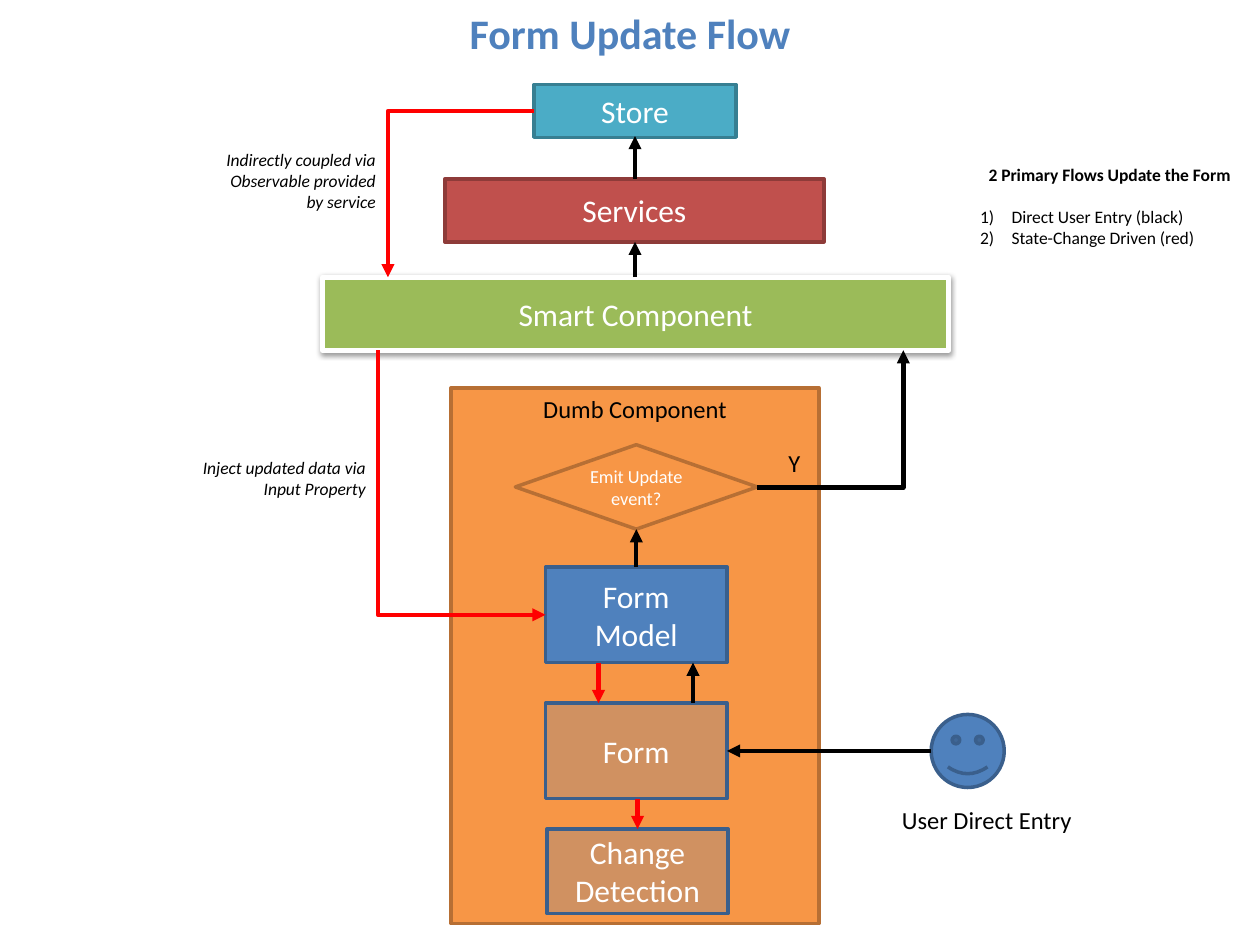
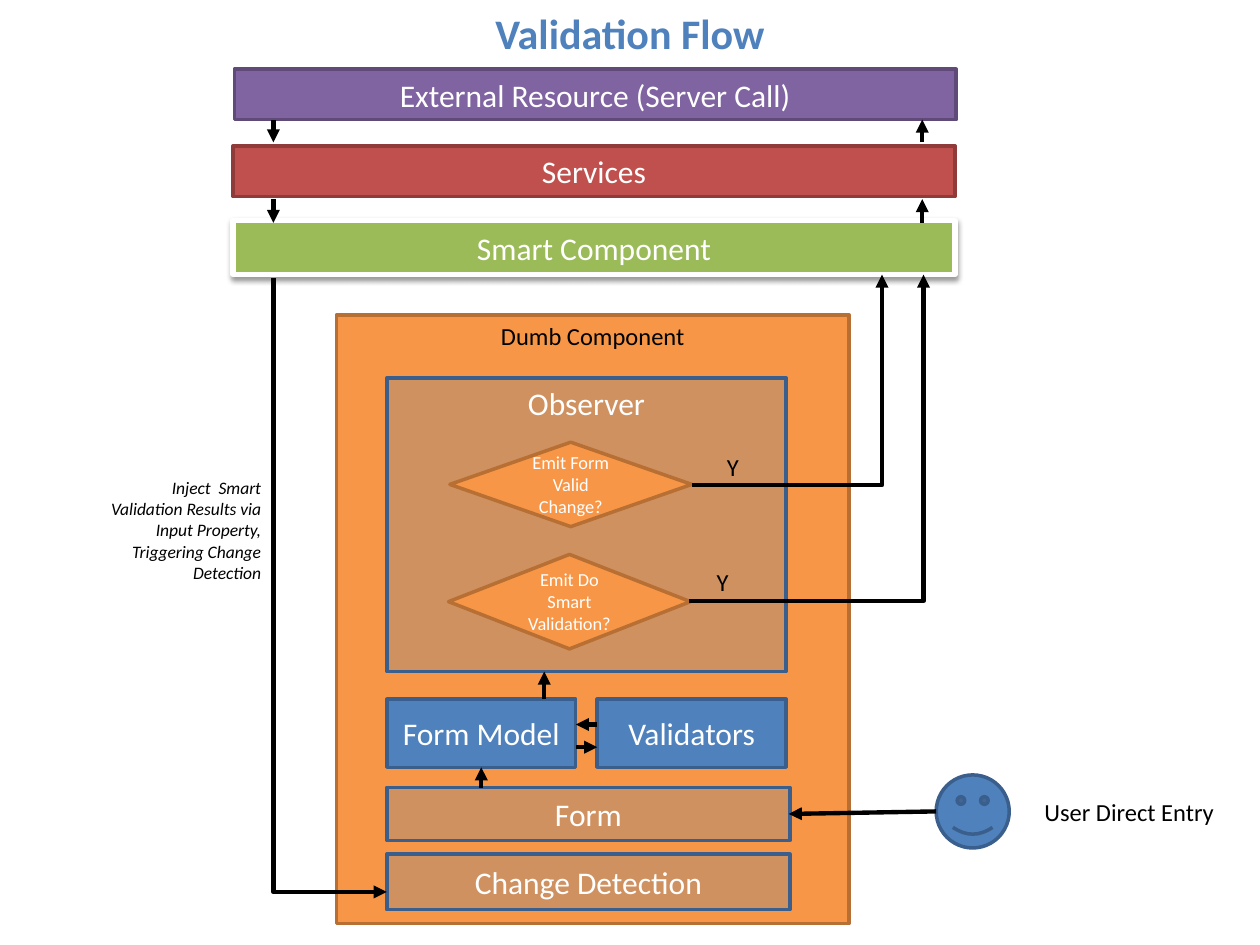
from lxml.etree import SubElement as Sub
from pptx import Presentation
from pptx.dml.color import RGBColor as RGB
from pptx.enum.shapes import MSO_CONNECTOR as Link, MSO_SHAPE as Kind
from pptx.enum.text import MSO_ANCHOR as Anchor, MSO_AUTO_SIZE as Auto, PP_ALIGN as Align
from pptx.oxml.ns import qn
from pptx.util import Cm, Pt

FONT = "Calibri"
WHITE, BLACK, RED = RGB(255, 255, 255), RGB(0, 0, 0), RGB(255, 0, 0)
BLUE, NAVY = RGB(0x4F, 0x81, 0xBD), RGB(0x3A, 0x5F, 0x8C)
ORANGE, BROWN = RGB(0xF7, 0x96, 0x46), RGB(0xB7, 0x6F, 0x34)
GREEN = RGB(0x9B, 0xBB, 0x59)
BRICK, MAROON = RGB(0xC0, 0x50, 0x4D), RGB(0x8E, 0x3B, 0x39)
AQUA, TEAL = RGB(0x4B, 0xAC, 0xC6), RGB(0x37, 0x7F, 0x92)
PURPLE, PLUM = RGB(0x80, 0x64, 0xA2), RGB(0x5F, 0x4A, 0x78)
WIDE, HIGH = 10, 7.5
UNIT = 2.54  # centimetres in one grid unit

# role: preset, fill, line, line width, text size
ROLES = {
    "panel": (Kind.RECTANGLE, ORANGE, BROWN, 2, 14),
    "model": (Kind.RECTANGLE, BLUE, NAVY, 2, 18),
    "view": (Kind.RECTANGLE, BLUE, NAVY, 2, 18),
    "smart": (Kind.RECTANGLE, GREEN, WHITE, 3, 18),
    "service": (Kind.RECTANGLE, BRICK, MAROON, 2, 18),
    "store": (Kind.RECTANGLE, AQUA, TEAL, 2, 18),
    "server": (Kind.RECTANGLE, PURPLE, PLUM, 2, 18),
    "choice": (Kind.FLOWCHART_DECISION, ORANGE, BROWN, 2, 10.5),
    "user": (Kind.SMILEY_FACE, BLUE, NAVY, 2, 18),
}
SHEER = 23  # opacity of the view boxes, percent

# boxes: role, text, (left, top, width, height)
# labels: text, left, top, width; notes: text, left, top, height
# arrows and bends: start x, start y, end x, end y, colour, arrowhead end;
# a bend runs across first, then up or down
UPDATE = {
    "title": "Form Update Flow",
    "panel": (3.58, 3.08, 2.92, 4.25),
    "boxes": [
        ("model", "Form Model", (4.33, 4.5, 1.44, 0.76)),
        ("view", "Form", (4.33, 5.58, 1.44, 0.76)),
        ("view", "Change Detection", (4.34, 6.58, 1.44, 0.67)),
        ("user", "", (7.39, 5.67, 0.58, 0.58)),
        ("choice", "Emit Update event?", (4.09, 3.53, 1.92, 0.67)),
        ("smart", "Smart Component", (2.56, 2.2, 4.97, 0.58)),
        ("service", "Services", (3.53, 1.42, 3.01, 0.5)),
        ("store", "Store", (4.24, 0.67, 1.6, 0.42)),
    ],
    "labels": [("User Direct Entry", 7.06, 6.34, 1.56), ("Y", 6.16, 3.51, 0.3)],
    "notes": [
        ("Indirectly coupled via Observable provided by service", 1.58, 1.13, 0.61),
        ("Inject updated data via Input Property", 1.5, 3.58, 0.44),
    ],
    "arrows": [
        (7.39, 5.96, 5.77, 5.96, BLACK, "tail"),
        (5.5, 5.58, 5.5, 5.26, BLACK, "tail"),
        (5.05, 4.5, 5.05, 4.2, BLACK, "tail"),
        (5.04, 2.2, 5.04, 1.92, BLACK, "tail"),
        (5.04, 1.42, 5.04, 1.08, BLACK, "tail"),
        (4.75, 5.26, 4.75, 5.58, RED, "tail"),
        (5.06, 6.34, 5.06, 6.58, RED, "tail"),
    ],
    "bends": [
        (6.01, 3.87, 7.17, 2.78, BLACK, "tail"),
        (4.24, 0.88, 3.08, 2.2, RED, "tail"),
        (4.33, 4.88, 3, 2.78, RED, "head"),
    ],
}
VALID = {
    "title": "Validation Flow",
    "panel": (2.67, 2.5, 4.07, 4.83),
    "boxes": [
        ("view", "Form", (3.07, 6.25, 3.2, 0.42)),
        ("view", "Change Detection", (3.07, 6.78, 3.2, 0.44)),
        ("user", "", (7.43, 6.15, 0.58, 0.58)),
        ("smart", "Smart Component", (1.85, 1.75, 5.73, 0.43)),
        ("service", "Services", (1.85, 1.16, 5.73, 0.4)),
        ("server", "External Resource (Server Call)", (1.86, 0.55, 5.73, 0.4)),
        ("model", "Form Model", (3.07, 5.55, 1.5, 0.54)),
        ("model", "Validators", (4.74, 5.55, 1.5, 0.54)),
        ("view", "Observer", (3.07, 3, 3.17, 2.33)),
        ("choice", "Emit Form Valid Change?", (3.57, 3.51, 1.92, 0.67)),
        ("choice", "Emit Do Smart Validation?", (3.56, 4.4, 1.92, 0.75)),
    ],
    "labels": [("User Direct Entry", 8.19, 6.28, 1.56),
               ("Y", 5.67, 3.54, 0.3), ("Y", 5.59, 4.45, 0.3)],
    "notes": [
        ("Inject  Smart Validation Results via Input Property, "
         "Triggering Change Detection", 0.67, 3.74, 0.94),
    ],
    "arrows": [
        (7.43, 6.44, 6.26, 6.46, BLACK, "tail"),
        (3.82, 6.25, 3.82, 6.09, BLACK, "tail"),
        (4.57, 5.93, 4.74, 5.93, BLACK, "tail"),
        (4.57, 5.75, 4.74, 5.75, BLACK, "head"),
        (4.32, 5.55, 4.32, 5.33, BLACK, "tail"),
        (7.32, 1.77, 7.32, 1.58, BLACK, "tail"),
        (7.32, 1.13, 7.32, 0.95, BLACK, "tail"),
        (2.17, 1.13, 2.17, 0.95, BLACK, "head"),
        (2.17, 1.77, 2.17, 1.58, BLACK, "head"),
    ],
    "bends": [
        (5.47, 4.77, 7.33, 2.18, BLACK, "tail"),
        (5.49, 3.85, 7, 2.18, BLACK, "tail"),
        (3.07, 7.08, 2.17, 2.21, BLACK, "head"),
    ],
}
FLOWS = ["2 Primary Flows Update the Form",
         "Direct User Entry (black)", "State-Change Driven (red)"]
FLOWS_AT = (7.68, 1.25, 2.25, 0.94)


def size(*vals):
    """Turn grid units into lengths."""
    return [Cm(val * UNIT) for val in vals]


def style(para, pts, color, align=Align.LEFT, bold=False, ital=False):
    """Format a paragraph and its runs."""
    para.alignment = align
    for run in para.runs:
        font = run.font
        font.name, font.size, font.bold, font.italic = FONT, Pt(pts), bold, ital
        font.color.rgb = color


def add_text(slide, text, at, pts, color=BLACK, wrap=True, **look):
    """Add a text box and return its frame."""
    frame = slide.shapes.add_textbox(*size(*at)).text_frame
    frame.word_wrap, frame.auto_size = wrap, Auto.SHAPE_TO_FIT_TEXT
    frame.text = text
    for para in frame.paragraphs:
        style(para, pts, color, **look)
    return frame


def add_glow(shape):
    """Give a shape a soft shadow below it."""
    outer = Sub(shape._element.spPr.find(qn("a:effectLst")), qn("a:outerShdw"),
                blurRad=str(Pt(3.1)), dist=str(Pt(1.6)), dir="5400000", rotWithShape="0")
    Sub(Sub(outer, qn("a:srgbClr"), val=str(BLACK)), qn("a:alpha"), val="38000")


def add_box(slide, role, text, at):
    """Add a shape in the look of its role."""
    kind, fill, edge, width, pts = ROLES[role]
    shape = slide.shapes.add_shape(kind, *size(*at))
    shape.shadow.inherit = False
    shape.fill.solid()
    shape.fill.fore_color.rgb = fill
    shape.line.color.rgb, shape.line.width = edge, Pt(width)
    if role == "view":
        tint = shape._element.spPr.find(qn("a:solidFill"))[0]
        Sub(tint, qn("a:alpha"), val=str(SHEER * 1000))
    if role == "smart":
        add_glow(shape)
    if text:
        shape.text_frame.text = text
        style(shape.text_frame.paragraphs[0], pts, WHITE, Align.CENTER)
    if text == "Observer":
        shape.text_frame.vertical_anchor = Anchor.TOP


def add_line(slide, x1, y1, x2, y2, color, end, bent=False):
    """Add an arrow, straight or with one corner."""
    kind = Link.ELBOW if bent else Link.STRAIGHT
    line = slide.shapes.add_connector(kind, *size(x1, y1, x2, y2))
    line.line.color.rgb, line.line.width = color, Pt(2.5)
    props = line._element.spPr
    if bent:
        props.find(qn("a:prstGeom")).set("prst", "bentConnector2")
    Sub(props.find(qn("a:ln")), qn(f"a:{end}End"), type="triangle")
    Sub(props, qn("a:effectLst"))


def add_flows(slide):
    """Add the heading with its numbered list."""
    frame = add_text(slide, "\n".join(FLOWS), FLOWS_AT, 10)
    head, *items = frame.paragraphs
    style(head, 10, BLACK, Align.CENTER, bold=True)
    head.space_after = Pt(12)
    for item in items:
        props = item._p.get_or_add_pPr()
        indent = Cm(0.25 * UNIT)
        props.set("marL", str(indent))
        props.set("indent", str(-indent))
        Sub(props, qn("a:buFont"), typeface="+mj-lt")
        Sub(props, qn("a:buAutoNum"), type="arabicParenR")


def add_flow(deck, flow):
    """Build one flow slide."""
    slide = deck.slides.add_slide(deck.slide_layouts[6])
    add_box(slide, "panel", "", flow["panel"])
    add_text(slide, flow["title"], (0, 0.01, WIDE, 0.5), 24, BLUE,
             align=Align.CENTER, bold=True)
    for box in flow["boxes"]:
        add_box(slide, *box)
    left, top, width, _ = flow["panel"]
    add_text(slide, "Dumb Component", (left, top, width, 0.34), 14, align=Align.CENTER)
    for text, left, top, width in flow["labels"]:
        add_text(slide, text, (left, top, width, 0.34), 14, wrap=False)
    for text, left, top, height in flow["notes"]:
        add_text(slide, text, (left, top, 1.5, height), 10, align=Align.RIGHT, ital=True)
    for arrow in flow["arrows"]:
        add_line(slide, *arrow)
    for bend in flow["bends"]:
        add_line(slide, *bend, bent=True)
    return slide


deck = Presentation()
deck.slide_width, deck.slide_height = size(WIDE, HIGH)
add_flows(add_flow(deck, UPDATE))
add_flow(deck, VALID)
deck.save("out.pptx")
